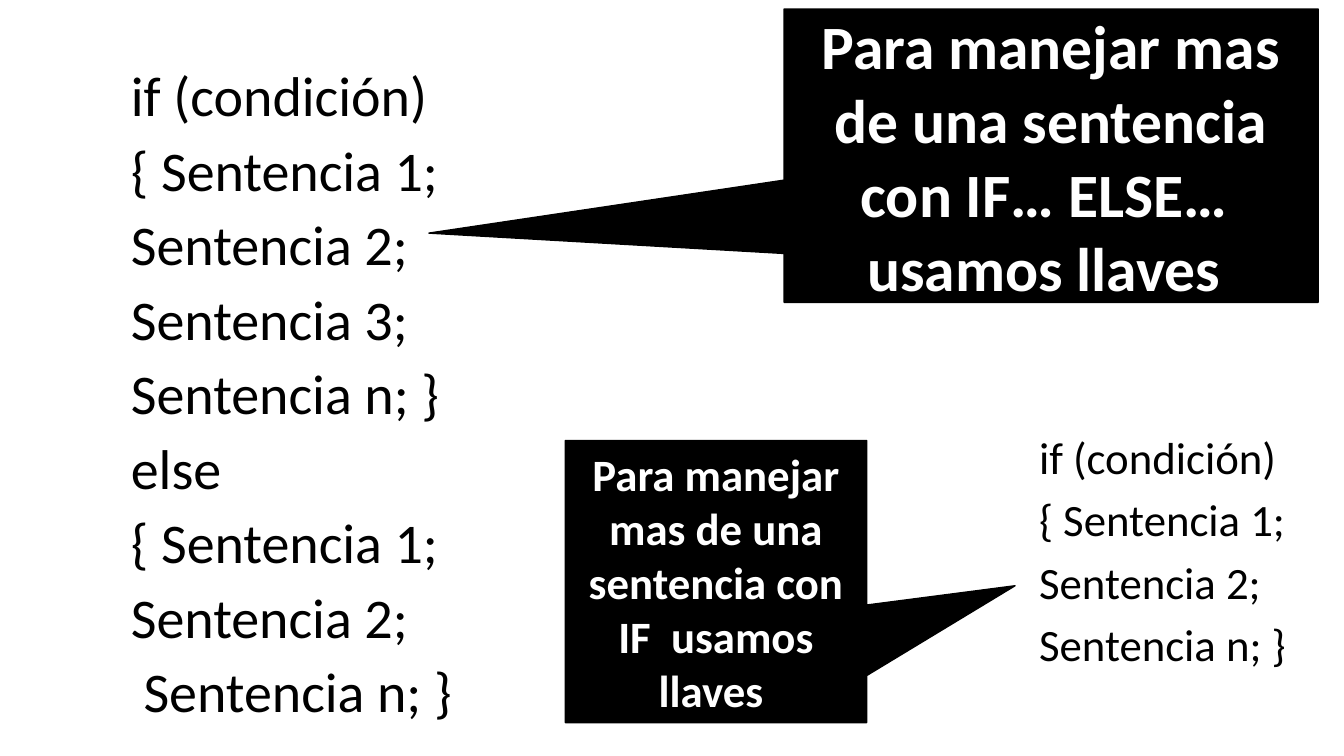
from pptx import Presentation
from pptx.dml.color import RGBColor
from pptx.enum.shapes import MSO_SHAPE
from pptx.enum.text import MSO_ANCHOR, MSO_AUTO_SIZE, PP_ALIGN
from pptx.oxml.ns import qn
from pptx.util import Cm, Pt

BLACK = RGBColor(0x00, 0x00, 0x00)
WHITE = RGBColor(0xFF, 0xFF, 0xFF)
FONT = "Calibri"

# Content: boxes are left, top, width, height in cm
IF_CODE = ["if (condición)", "{ Sentencia 1;", "Sentencia 2;", "Sentencia n; }"]
IF_BOX = (25.93, 10.85, 7.92, 7.11)
IF_ELSE_CODE = [
    "if (condición)", "{ Sentencia 1;", "Sentencia 2;", "Sentencia 3;",
    "Sentencia n; }", "else", "{ Sentencia 1;", "Sentencia 2;",
    " Sentencia n; }",
]
IF_ELSE_BOX = (3.05, 1.6, 14.66, 14.22)
# Callouts: text, size, box, tip offset from the centre
CALLOUTS = [
    ("Para manejar mas de una sentencia con IF… ELSE…  usamos llaves ",
     44, (19.76, 0.23, 13.46, 7.39), (-1.165, 0.264)),
    ("Para manejar mas de una sentencia con IF  usamos llaves ",
     32, (14.25, 11.1, 7.59, 7.11), (0.993, 0.015)),
]


def add_run(paragraph, text, size, color, bold=False):
    run = paragraph.add_run()
    run.text = text
    run.font.name = FONT
    run.font.size = Pt(size)
    run.font.bold = bold
    run.font.color.rgb = color


def write_code(frame, lines, size):
    frame.word_wrap = True
    frame.auto_size = MSO_AUTO_SIZE.NONE
    frame.vertical_anchor = MSO_ANCHOR.TOP
    for number, line in enumerate(lines):
        paragraph = frame.add_paragraph() if number else frame.paragraphs[0]
        paragraph.line_spacing = 0.9
        paragraph.space_before = Pt(10 if number else 0)
        properties = paragraph._p.get_or_add_pPr()
        properties.set("marL", "0")
        properties.set("indent", "0")
        properties.append(properties.makeelement(qn("a:buNone"), {}))
        add_run(paragraph, line, size, BLACK)


def add_callout(slide, text, size, box, tip):
    callout = slide.shapes.add_shape(
        MSO_SHAPE.RECTANGULAR_CALLOUT, *map(Cm, box))
    callout.adjustments[0], callout.adjustments[1] = tip
    callout.shadow.inherit = False
    callout.fill.solid()
    callout.fill.fore_color.rgb = BLACK
    callout.line.color.rgb = BLACK
    callout.line.width = Pt(1)
    frame = callout.text_frame
    frame.word_wrap = True
    frame.vertical_anchor = MSO_ANCHOR.MIDDLE
    frame.paragraphs[0].alignment = PP_ALIGN.CENTER
    add_run(frame.paragraphs[0], text, size, WHITE, bold=True)


def main():
    deck = Presentation()
    deck.slide_width, deck.slide_height = Cm(33.87), Cm(19.05)
    slide = deck.slides.add_slide(deck.slide_layouts[1])

    # The slide has no title
    title = slide.shapes.title._element
    title.getparent().remove(title)

    # Short if block in the body placeholder
    if_block = slide.placeholders[1]
    if_block.left, if_block.top, if_block.width, if_block.height = map(Cm, IF_BOX)
    write_code(if_block.text_frame, IF_CODE, 32)

    # Full if-else block
    if_else_block = slide.shapes.add_textbox(*map(Cm, IF_ELSE_BOX))
    write_code(if_else_block.text_frame, IF_ELSE_CODE, 40)

    # Callouts pointing at the braces
    for callout in CALLOUTS:
        add_callout(slide, *callout)

    deck.save("out.pptx")


if __name__ == "__main__":
    main()
